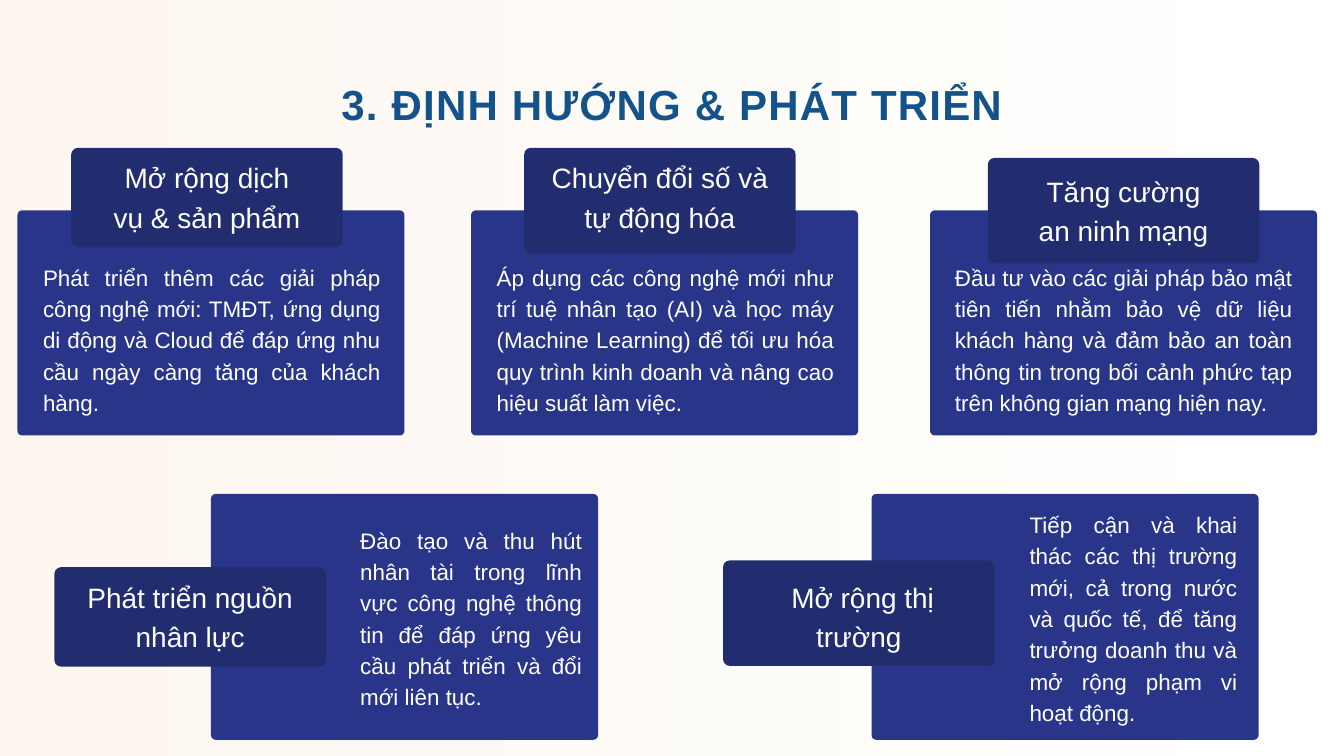
from pptx import Presentation, util as u
from pptx.dml.color import RGBColor
from pptx.enum import shapes, text

# Grid: 20 columns by 11.25 rows of square cells
CELL = u.Inches(1)
COLUMNS, ROWS = 20, 11.25
FONT = "Arial"
CARD_WIDTH, TAB_WIDTH = 5.76, 4.04

deck = Presentation()
deck.slide_width, deck.slide_height = int(COLUMNS * CELL), int(ROWS * CELL)
page = deck.slides.add_slide(deck.slide_layouts.get_by_name("Title Only"))


def panel(left, top, width, height, radius, colour):
    box = page.shapes.add_shape(
        shapes.MSO_SHAPE.ROUNDED_RECTANGLE,
        *(int(n * CELL) for n in (left, top, width, height)))
    box.adjustments[0] = radius / min(width, height)
    box.fill.solid()
    box.fill.fore_color.rgb = RGBColor.from_string(colour)
    box.line.fill.background()
    box.shadow.inherit = False


def write(box, place, words, size, spacing, align, colour="FFFFFF", bold=False):
    box.left, box.top, box.width, box.height = (int(n * CELL) for n in place)
    frame = box.text_frame
    frame.word_wrap = True
    frame.auto_size = text.MSO_AUTO_SIZE.NONE
    frame.vertical_anchor = text.MSO_ANCHOR.TOP
    frame.margin_left = frame.margin_right = frame.margin_top = frame.margin_bottom = 0
    frame.text = words
    para = frame.paragraphs[0]
    para.alignment = align
    para.line_spacing = u.Pt(spacing)
    span = para.runs[0]
    span.font.name, span.font.size, span.font.bold = FONT, u.Pt(size), bold
    span.font.color.rgb = RGBColor.from_string(colour)
    return span


# Background
backdrop = page.background.fill
backdrop.gradient()
backdrop.gradient_angle = 0
for stop, colour in zip(backdrop.gradient_stops, ("FDF7EF", "FFFFFF")):
    stop.color.rgb = RGBColor.from_string(colour)

# Title
title = write(page.shapes.title, (3.88, 1.1, 12.24, 0.82), "3. ĐỊNH HƯỚNG & PHÁT TRIỂN",
              45, 58.9, text.PP_ALIGN.CENTER, "13538A", True)
title._r.get_or_add_rPr().set("spc", "130")

# Each direction: card (left, top, height), tab (left, top, height),
# label (top, width, words), details (left, top, width, height, words)
directions = [
    ((0.26, 3.13, 3.35), (1.06, 2.2, 1.48),
     (2.31, 2.8, "Mở rộng dịch vụ & sản phẩm"),
     (0.64, 3.86, 5.02, 2.29,
      "Phát triển thêm các giải pháp công nghệ mới: TMĐT, ứng dụng di động và Cloud "
      "để đáp ứng nhu cầu ngày càng tăng của khách hàng.")),
    ((7.01, 3.13, 3.35), (7.8, 2.2, 1.57),
     (2.31, 3.24, "Chuyển đổi số và tự động hóa"),
     (7.39, 3.86, 5.02, 2.29,
      "Áp dụng các công nghệ mới như trí tuệ nhân tạo (AI) và học máy (Machine Learning) "
      "để tối ưu hóa quy trình kinh doanh và nâng cao hiệu suất làm việc.")),
    ((13.84, 3.13, 3.35), (14.7, 2.35, 1.57),
     (2.51, 2.8, "Tăng cường an ninh mạng"),
     (14.21, 3.86, 5.02, 2.29,
      "Đầu tư vào các giải pháp bảo mật tiên tiến nhằm bảo vệ dữ liệu khách hàng và đảm bảo "
      "an toàn thông tin trong bối cảnh phức tạp trên không gian mạng hiện nay.")),
    ((3.14, 7.35, 3.66), (0.81, 8.44, 1.48),
     (8.55, 3.23, "Phát triển nguồn nhân lực"),
     (5.36, 7.77, 3.3, 2.75,
      "Đào tạo và thu hút nhân tài trong lĩnh vực công nghệ thông tin để đáp ứng yêu cầu "
      "phát triển và đổi mới liên tục.")),
    ((12.97, 7.35, 3.66), (10.76, 8.34, 1.57),
     (8.55, 3.42, " Mở rộng thị trường"),
     (15.32, 7.54, 3.09, 3.2,
      "Tiếp cận và khai thác các thị trường mới, cả trong nước và quốc tế, để tăng trưởng "
      "doanh thu và mở rộng phạm vi hoạt động.")),
]

for card, tab, label, details in directions:
    left, top, height = card
    panel(left, top, CARD_WIDTH, height, 0.07, "283589")
    left, top, height = tab
    panel(left, top, TAB_WIDTH, height, 0.1, "222D6F")

    # The label is centred on its tab
    label_top, width, words = label
    place = (left + (TAB_WIDTH - width) / 2, label_top, width, 1.17)
    write(page.shapes.add_textbox(0, 0, 0, 0), place, words, 30, 42, text.PP_ALIGN.CENTER)

    *place, words = details
    write(page.shapes.add_textbox(0, 0, 0, 0), place, words, 24, 33.6, text.PP_ALIGN.JUSTIFY)

deck.save("out.pptx")
